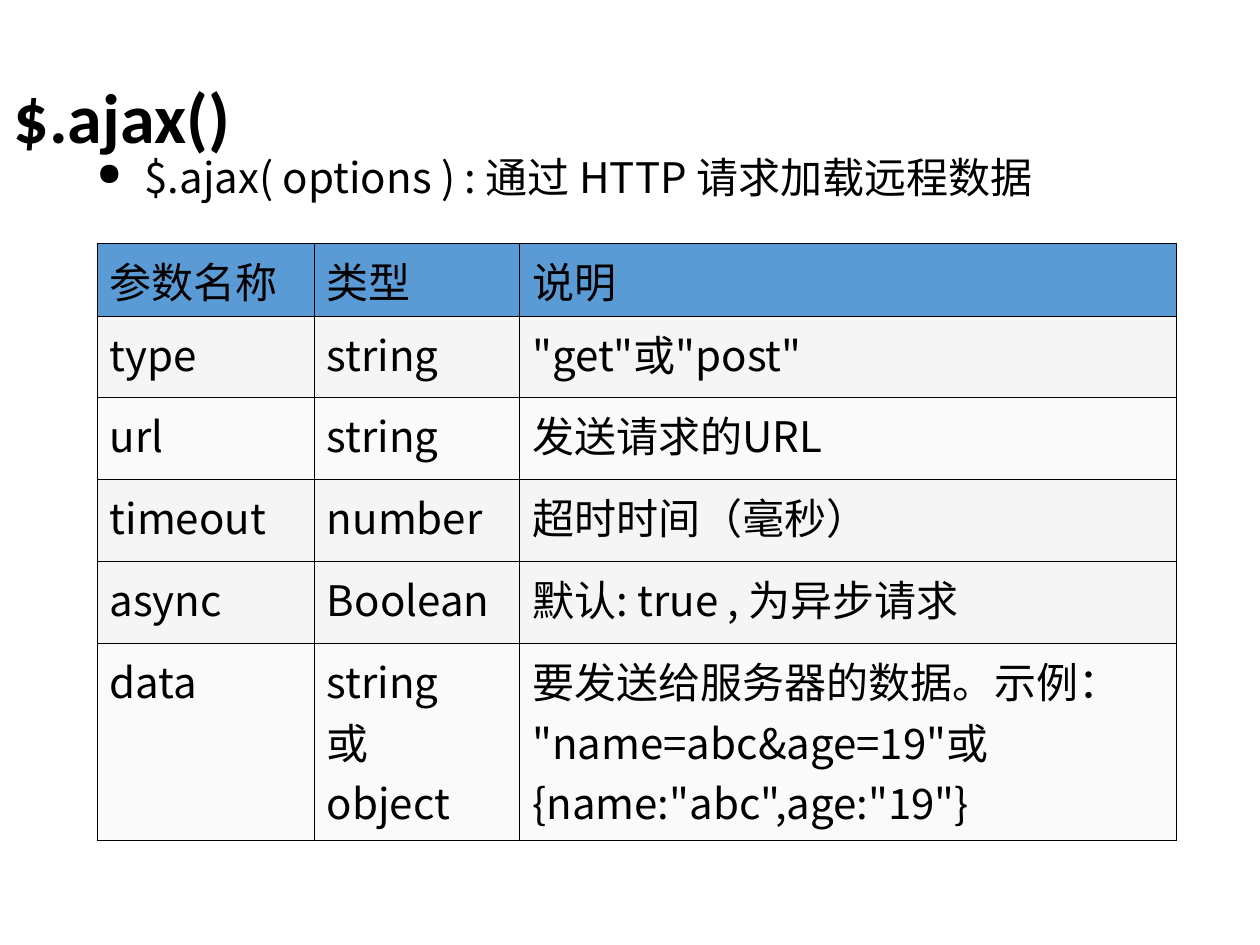
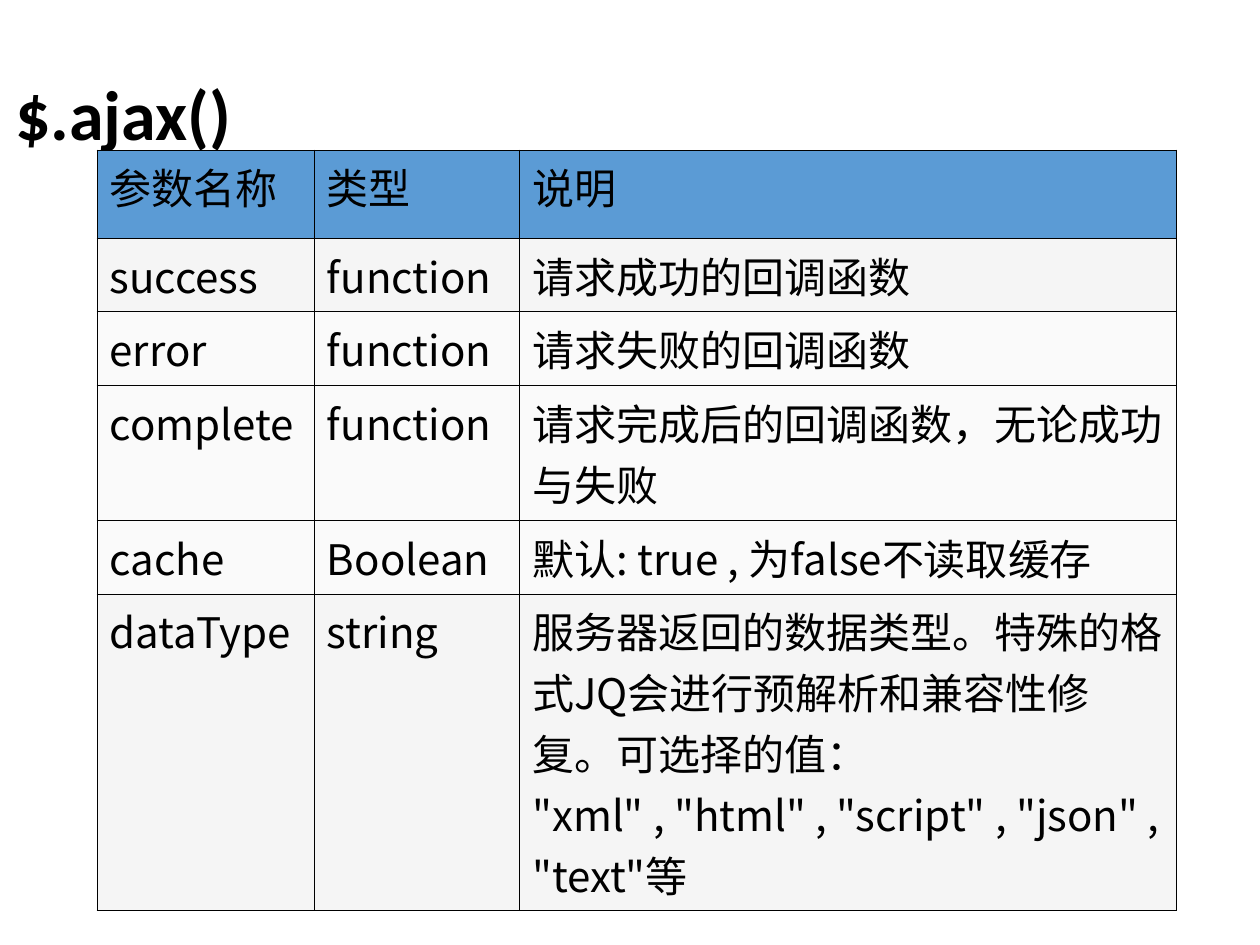
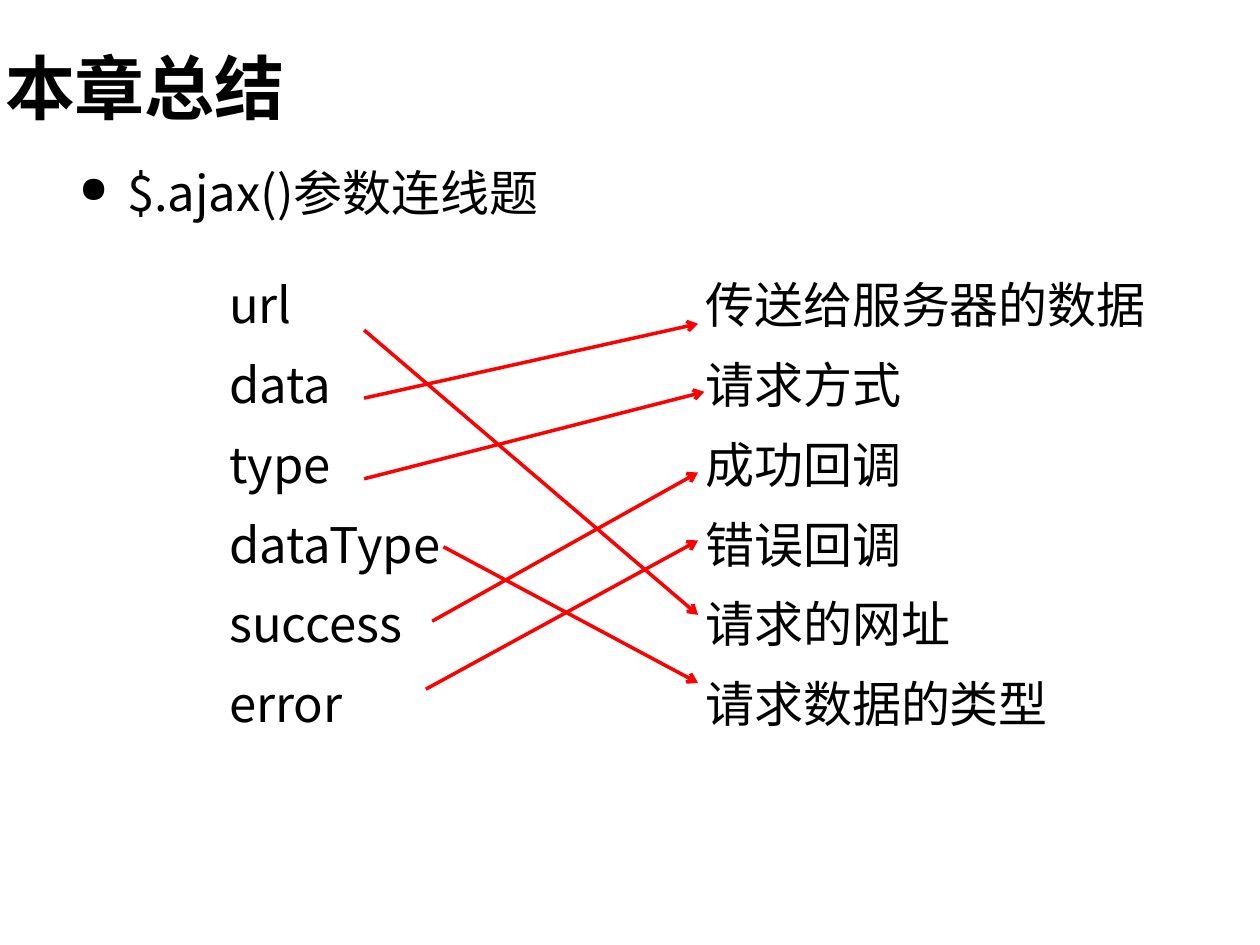
import pptx
import pptx.dml.color
import pptx.enum.shapes
import pptx.enum.text
import pptx.oxml.ns
import pptx.util
from lxml import etree

COLORS = {"text": "000000", "back": "FFFFFF", "arrow": "FF0000",
          "head": "5B9BD5", "gray": "F5F5F5", "pale": "FAFAFA"}
CJK = "Noto Sans CJK SC"
qn = pptx.oxml.ns.qn


def rgb(name):
    return pptx.dml.color.RGBColor.from_string(COLORS[name])


def sub(parent, tag, **attrs):
    """Append a drawing element to an XML parent."""
    return etree.SubElement(parent, qn(tag), attrs)


def write(tf, text, size=24, font=CJK, bold=False, before=0, after=0,
          spacing=None, bullet=None):
    """Write each line of text as one formatted paragraph."""
    for i, line in enumerate(text.split("\n")):
        p = tf.add_paragraph() if i else tf.paragraphs[0]
        p.space_before, p.space_after = pptx.util.Pt(before), pptx.util.Pt(after)
        if spacing:
            p.line_spacing = spacing
        r = p.add_run()
        r.text = line
        r.font.size, r.font.bold, r.font.name = pptx.util.Pt(size), bold, font
        r.font.color.rgb = rgb("text")
        sub(r.font._element, "a:ea", typeface=CJK)
        pPr = p._p.get_or_add_pPr()
        pPr.set("hangingPunct", "0")
        if bullet:
            hang = pptx.util.Inches(0.38)
            pPr.set("marL", str(hang))
            pPr.set("indent", str(-hang))
            sub(sub(pPr, "a:buClr"), "a:srgbClr", val=COLORS["text"])
            sub(pPr, "a:buSzPct", val="75000")
            sub(pPr, "a:buChar", char=bullet)


class Deck:
    """Slides on a grid of 100 columns by 75 rows."""

    def __init__(self):
        self.prs = pptx.Presentation()
        self.prs.slide_width = pptx.util.Inches(10)
        self.prs.slide_height = pptx.util.Inches(7.5)
        self.s = None

    def x(self, columns):
        return round(self.prs.slide_width * columns / 100)

    def y(self, rows):
        return round(self.prs.slide_height * rows / 75)

    def box(self, x, y, w, h):
        return self.x(x), self.y(y), self.x(w), self.y(h)

    def slide(self, title, x, y):
        self.s = self.prs.slides.add_slide(self.prs.slide_layouts[6])
        self.s.background.fill.solid()
        self.s.background.fill.fore_color.rgb = rgb("back")
        tf = self.text(title, x, y, 86.3, 14.5, size=40, font="Calibri",
                       bold=True, spacing=0.9)
        tf.vertical_anchor = pptx.enum.text.MSO_ANCHOR.MIDDLE
        tf.margin_left = tf.margin_right = self.x(0.4)
        tf.margin_top = tf.margin_bottom = self.y(0.4)

    def text(self, text, x, y, w, h, **style):
        tf = self.s.shapes.add_textbox(*self.box(x, y, w, h)).text_frame
        tf.word_wrap = True
        write(tf, text, **style)
        return tf

    def body(self, text, x, y, w, h, **style):
        return self.text(text, x, y, w, h, before=6, after=6, **style)

    def table(self, y, heights, fills, rows):
        widths = (17.25, 16.3, 52.15)
        frame = self.s.shapes.add_table(
            len(rows), len(widths), *self.box(7.7, y, sum(widths), sum(heights)))
        tbl = frame.table
        tbl.first_row = tbl.horz_banding = False
        for column, width in zip(tbl.columns, widths):
            column.width = self.x(width)
        for row, height, fill, texts in zip(tbl.rows, heights, fills, rows):
            row.height = self.y(height)
            for cell, text in zip(row.cells, texts):
                self.border(cell)
                cell.fill.solid()
                cell.fill.fore_color.rgb = rgb(fill)
                write(cell.text_frame, text)

    def border(self, cell):
        tcPr = cell._tc.get_or_add_tcPr()
        for side in "LRTB":
            ln = sub(tcPr, "a:ln" + side, w=str(pptx.util.Pt(0.45)))
            sub(sub(ln, "a:solidFill"), "a:srgbClr", val=COLORS["text"])

    def arrow(self, x1, y1, x2, y2):
        c = self.s.shapes.add_connector(
            pptx.enum.shapes.MSO_CONNECTOR.STRAIGHT,
            self.x(x1), self.y(y1), self.x(x2), self.y(y2))
        c.line.width = pptx.util.Pt(2)
        c.line.color.rgb = rgb("arrow")
        sub(c.line._get_or_add_ln(), "a:tailEnd", type="arrow")
        sub(c._element.spPr, "a:effectLst")


HEADER = ("参数名称", "类型", "说明")


def main():
    d = Deck()

    # Request options
    d.slide("$.ajax()", 0.7, 2.3)
    d.body("$.ajax( options ) : 通过 HTTP 请求加载远程数据",
           6.7, 11.5, 87.1, 5, bullet="●")
    d.table(19.3, (5.85, 6.4, 6.5, 6.5, 6.5, 15.65),
            ("head", "gray", "pale", "gray", "gray", "pale"), [
        HEADER,
        ("type", "string", '"get"或"post"'),
        ("url", "string", "发送请求的URL"),
        ("timeout", "number", "超时时间（毫秒）"),
        ("async", "Boolean", "默认: true , 为异步请求"),
        ("data", "string\n或\nobject",
         '要发送给服务器的数据。示例：\n"name=abc&age=19"或\n{name:"abc",age:"19"}'),
    ])

    # Callbacks and response options
    d.slide("$.ajax()", 0.8, 2.1)
    d.table(11.9, (7, 5.85, 5.85, 10.7, 5.85, 25.15),
            ("head", "gray", "pale", "pale", "pale", "gray"), [
        HEADER,
        ("success", "function", "请求成功的回调函数"),
        ("error", "function", "请求失败的回调函数"),
        ("complete", "function", "请求完成后的回调函数，无论成功与失败"),
        ("cache", "Boolean", "默认: true , 为false不读取缓存"),
        ("dataType", "string",
         "服务器返回的数据类型。特殊的格式JQ会进行预解析和兼容性修复。可选择的值：\n"
         '"xml" , "html" , "script" , "json" , "text"等'),
    ])

    # Matching exercise
    d.slide("本章总结", 0, 0)
    d.body("$.ajax()参数连线题", 5.3, 12.4, 39.2, 5.7, size=28, bullet="●")
    names = "url\ndata\ntype\ndataType\nsuccess\nerror"
    meanings = "传送给服务器的数据\n请求方式\n成功回调\n错误回调\n请求的网址\n请求数据的类型"
    for text, x, w in ((names, 17.2, 18.8), (meanings, 55, 38)):
        d.body(text, x, 21.3, w, 37.4, size=28)

    # Arrows from each name to its meaning
    for ends in ((28.9, 26.2, 55.4, 48.8), (28.9, 31.6, 55.4, 25.7),
                 (28.9, 38, 55.9, 31.1), (35.2, 43.4, 55.4, 54.2),
                 (34.3, 49.3, 55.4, 37.5), (33.8, 54.7, 55.4, 42.9)):
        d.arrow(*ends)

    d.prs.save("out.pptx")


if __name__ == "__main__":
    main()
